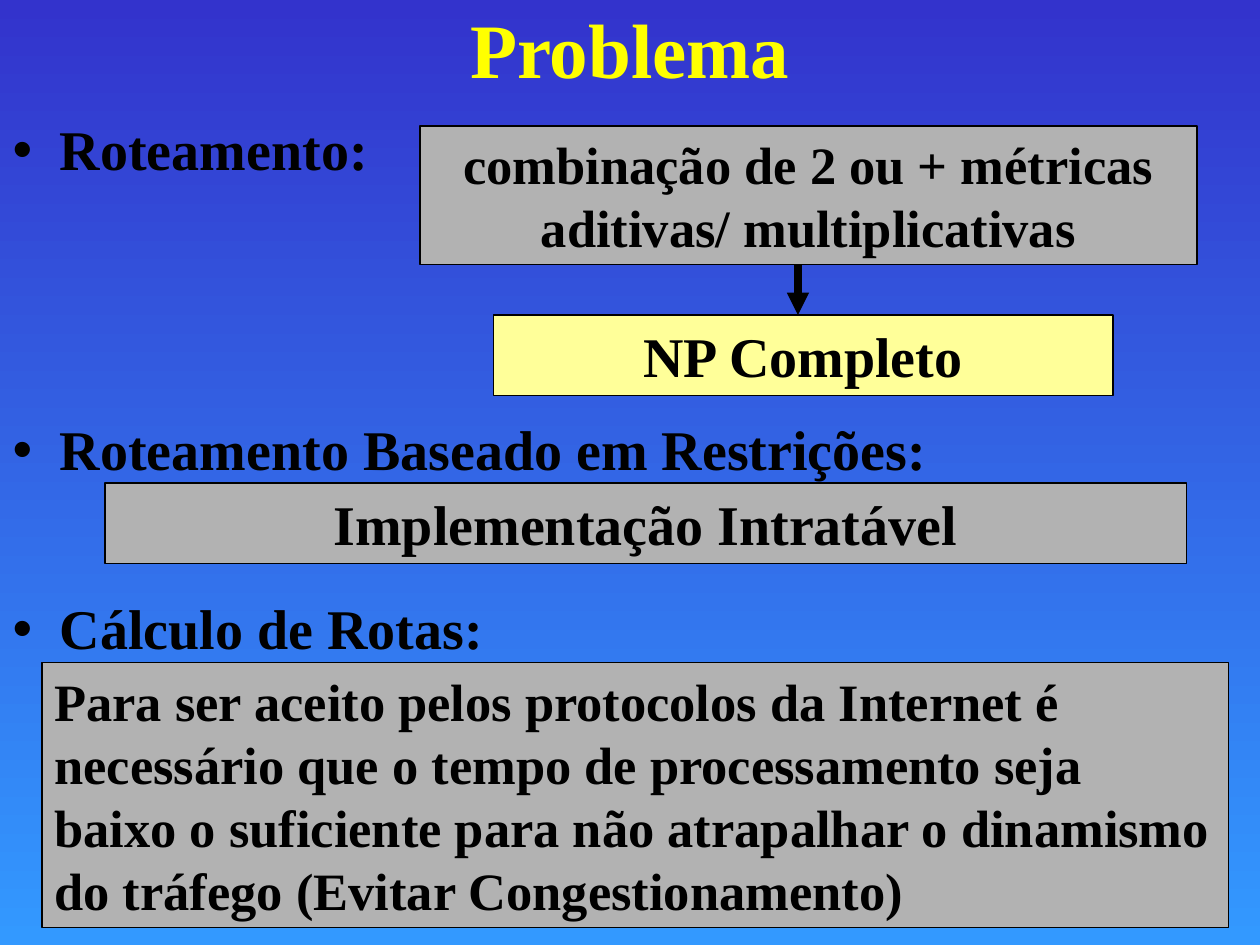
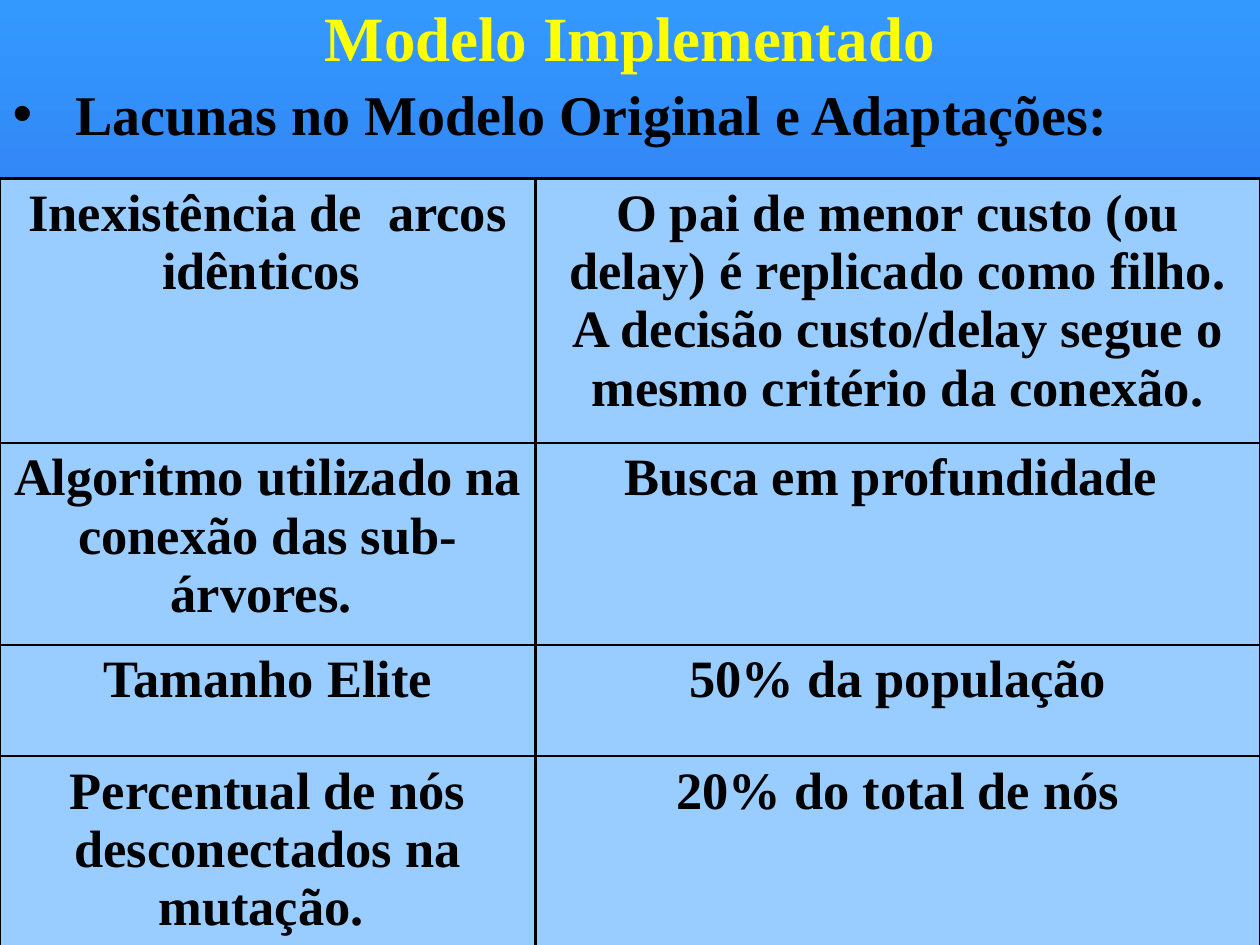
from lxml import etree
from pptx import Presentation
from pptx.dml.color import RGBColor
from pptx.enum.shapes import MSO_CONNECTOR, MSO_SHAPE
from pptx.enum.text import MSO_ANCHOR, MSO_AUTO_SIZE, PP_ALIGN
from pptx.oxml import parse_xml
from pptx.oxml.ns import nsdecls, qn
from pptx.util import Pt

CENTER, LEFT = PP_ALIGN.CENTER, PP_ALIGN.LEFT
TOP, MIDDLE = MSO_ANCHOR.TOP, MSO_ANCHOR.MIDDLE
NO_AUTOFIT = MSO_AUTO_SIZE.NONE
RECTANGLE, STRAIGHT = MSO_SHAPE.RECTANGLE, MSO_CONNECTOR.STRAIGHT

FONT = "Times New Roman"
BLACK, YELLOW, PALE_YELLOW = "000000", "FFFF00", "FFFF99"
GRAY, LIGHT_BLUE = "B2B2B2", "99CCFF"
DEEP_BLUE, SKY_BLUE = "3333CC", "3399FF"


def color(hex_string):
    return RGBColor.from_string(hex_string)


def write(paragraph, text, size, align=CENTER, text_color=BLACK):
    paragraph.alignment = align
    run = paragraph.add_run()
    run.text = text
    run.font.name = FONT
    run.font.size = Pt(size)
    run.font.bold = True
    run.font.color.rgb = color(text_color)


presentation = Presentation()
presentation.slide_width, presentation.slide_height = Pt(720), Pt(540)

# Shared by both slides: gradient, title and bulleted list
# Title: text, size, left, width, height. List: top, height, indent, line spacing.
# Bullets: text and space before.
pages = [
    (("Problema", 44, 0, 720, 54), (66, 324, 27, 0.9),
     [("Roteamento:", 0), ("Roteamento Baseado em Restrições:", 137),
      ("Cálculo de Rotas:", 68)],
     (DEEP_BLUE, SKY_BLUE)),
    (("Modelo Implementado", 36, 24, 672, 42), (42, 60, 36, 1.0),
     [("Lacunas no Modelo Original e Adaptações:", 0)],
     (SKY_BLUE, DEEP_BLUE)),
]
for title_spec, list_spec, bullets, gradient in pages:
    slide = presentation.slides.add_slide(presentation.slide_layouts[1])

    background = slide.background.fill
    background.gradient()
    background.gradient_angle = 270
    for stop, stop_color in zip(background.gradient_stops, gradient):
        stop.color.rgb = color(stop_color)

    title_text, title_size, left, width, height = title_spec
    title = slide.shapes.title
    title.left, title.top = Pt(left), Pt(0)
    title.width, title.height = Pt(width), Pt(height)
    title.text_frame.auto_size = NO_AUTOFIT
    title.text_frame.vertical_anchor = MIDDLE
    write(title.text_frame.paragraphs[0], title_text, title_size, text_color=YELLOW)

    top, height, indent, line_spacing = list_spec
    body = slide.placeholders[1]
    body.left, body.top = Pt(0), Pt(top)
    body.width, body.height = Pt(720), Pt(height)
    frame = body.text_frame
    frame.auto_size = NO_AUTOFIT
    frame.vertical_anchor = TOP
    for index, (text, space_before) in enumerate(bullets):
        paragraph = frame.add_paragraph() if index else frame.paragraphs[0]
        write(paragraph, text, 32, LEFT)
        paragraph.line_spacing = line_spacing
        paragraph.space_before = Pt(space_before)
        paragraph.space_after = Pt(0)
        properties = paragraph._p.get_or_add_pPr()
        properties.set("marL", str(Pt(indent)))
        properties.set("indent", str(-Pt(indent)))

problem_slide, model_slide = presentation.slides

# Problem slide: arrow from the metrics to the NP-complete box
arrow = problem_slide.shapes.add_connector(
    STRAIGHT, Pt(456), Pt(150), Pt(456), Pt(180))
arrow.line.color.rgb = color(BLACK)
arrow.line.width = Pt(4.25)
etree.SubElement(arrow.line._get_or_add_ln(), qn("a:tailEnd"), type="triangle")
etree.SubElement(arrow._element.spPr, qn("a:effectLst"))

# Problem slide: boxes
boxes = [
    ("NP Completo", 32, CENTER, PALE_YELLOW, 282, 180, 354, 46),
    ("combinação de 2 ou + métricas aditivas/ multiplicativas",
     30, CENTER, GRAY, 240, 72, 444, 79),
    ("Implementação Intratável", 32, CENTER, GRAY, 60, 276, 618, 46),
    ("Para ser aceito pelos protocolos da Internet é necessário que o tempo de "
     "processamento seja baixo o suficiente para não atrapalhar o dinamismo do "
     "tráfego (Evitar Congestionamento)", 30, LEFT, GRAY, 24, 378.5, 678, 151.5),
]
for text, size, align, fill_color, left, top, width, height in boxes:
    box = problem_slide.shapes.add_shape(
        RECTANGLE, Pt(left), Pt(top), Pt(width), Pt(height))
    box.shadow.inherit = False
    box.fill.solid()
    box.fill.fore_color.rgb = color(fill_color)
    box.line.color.rgb = color(BLACK)
    box.line.width = Pt(0.75)
    box.text_frame.word_wrap = True
    box.text_frame.vertical_anchor = TOP
    write(box.text_frame.paragraphs[0], text, size, align)

# Model slide: table of gaps and adaptations
adaptations = [
    (151, "Inexistência de  arcos idênticos ",
     "O pai de menor custo (ou delay) é replicado como filho. "
     "A decisão custo/delay segue o mesmo critério da conexão."),
    (115.5, "Algoritmo utilizado na conexão das sub-árvores. ",
     "Busca em profundidade "),
    (63.5, "Tamanho Elite", "50% da população"),
    (115.5, "Percentual de nós desconectados na mutação. ", "20% do total de nós"),
]
table = model_slide.shapes.add_table(
    len(adaptations), 2, Pt(0), Pt(102), Pt(720), Pt(445.5)).table
table.first_row = table.horz_banding = False
table.columns[0].width, table.columns[1].width = Pt(306), Pt(414)
for row_index, (row_height, *texts) in enumerate(adaptations):
    table.rows[row_index].height = Pt(row_height)
    for column_index, text in enumerate(texts):
        cell = table.cell(row_index, column_index)
        write(cell.text_frame.paragraphs[0], text, 30)
        cell_properties = cell._tc.get_or_add_tcPr()
        for side in "LRTB":
            cell_properties.append(parse_xml(
                f'<a:ln{side} {nsdecls("a")} w="{Pt(1.47)}"><a:solidFill>'
                f'<a:srgbClr val="{BLACK}"/></a:solidFill></a:ln{side}>'))
        cell.fill.solid()
        cell.fill.fore_color.rgb = color(LIGHT_BLUE)

presentation.save("out.pptx")
